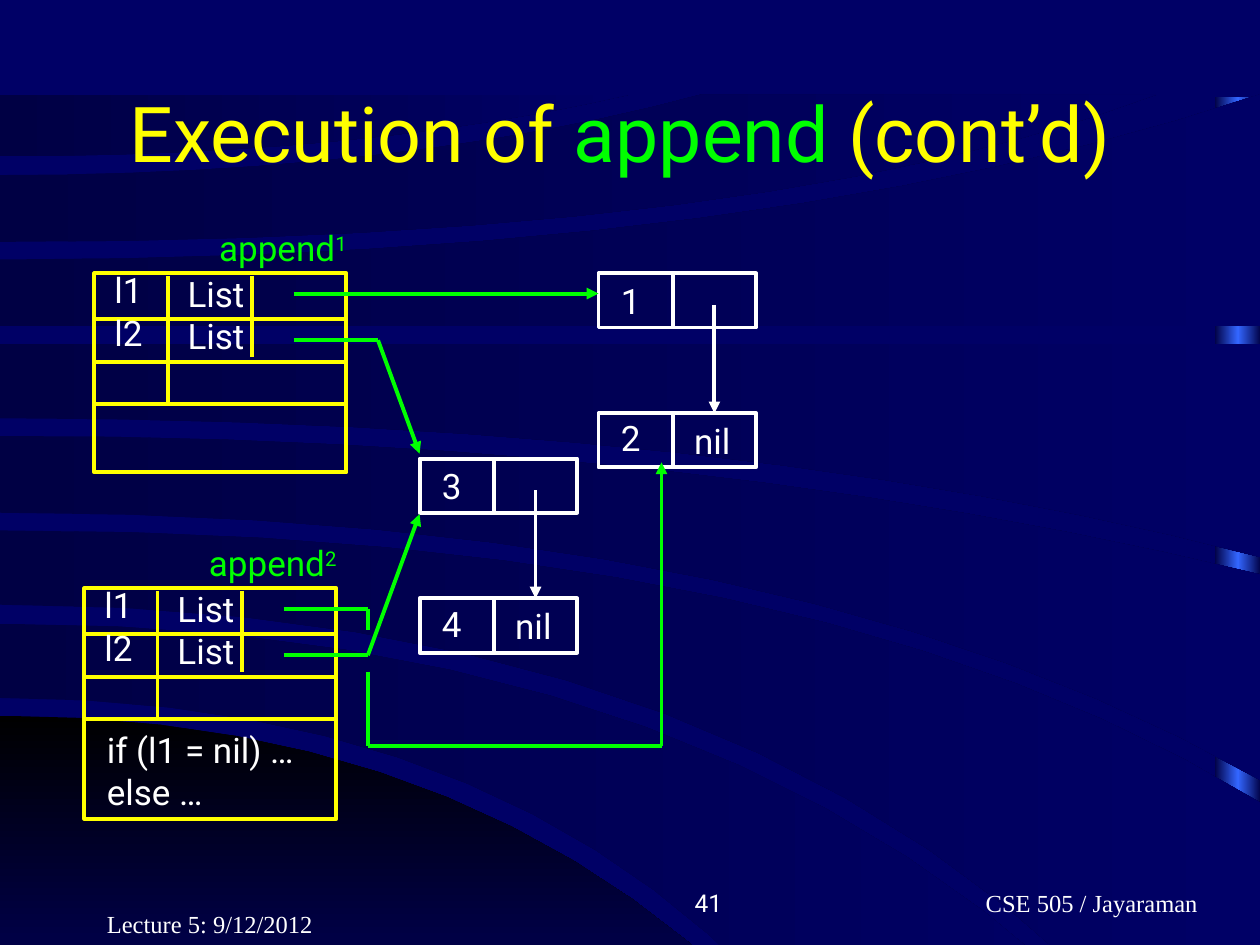
from copy import deepcopy
from dataclasses import dataclass

from lxml.etree import SubElement
from pptx import Presentation
from pptx.dml.color import RGBColor
from pptx.enum.shapes import MSO_CONNECTOR, MSO_SHAPE
from pptx.enum.text import MSO_ANCHOR, MSO_AUTO_SIZE, PP_ALIGN
from pptx.oxml.ns import qn
from pptx.util import Inches, Pt

YELLOW, GREEN, WHITE = "FFFF00", "00FF00", "FFFFFF"
NAVY, DARK, BLACK, BLUE = "000066", "000044", "000000", "3366FF"
SERIF, SANS = "Times New Roman", "Roboto"
CURVE_STEPS = 12
ROW = 0.34
CELL_STEP = 1.11
Point = tuple[float, float]


@dataclass
class Frame:
    left: float
    top: float
    height: float
    number: str


@dataclass
class Chain:
    left: float
    top: float
    values: str


@dataclass
class Route:
    points: list[Point]
    arrow: bool = True


@dataclass
class Edge:
    level: float
    bend: float
    right: float
    end: float

    def points(self) -> list[Point]:
        steps = [index / CURVE_STEPS for index in range(CURVE_STEPS + 1)]
        return [(2 * t * (1 - t) * self.bend + t * t * self.right,
                 self.level + t * t * (self.end - self.level)) for t in steps]


@dataclass
class Band:
    upper: Edge
    lower: Edge
    start: str = DARK
    angle: int = 0


FRAMES = [Frame(0.75, 2.17, 1.58, "1"), Frame(0.67, 4.67, 1.83, "2")]
CHAINS = [Chain(3.33, 3.64, "34"), Chain(4.75, 2.17, "12")]
ROUTES = [
    Route([(2.33, 2.33), (4.75, 2.33)]),
    Route([(2.33, 2.7), (3, 2.7), (3.33, 3.6)]),
    Route([(2.25, 5.2), (2.92, 5.2), (3.33, 4.08)]),
    Route([(2.25, 4.83), (2.92, 4.83), (2.92, 5)], False),
    Route([(2.92, 5.33), (2.92, 5.92), (5.25, 5.92), (5.25, 3.67)]),
]
BANDS = [
    Band(Edge(5.68, 3.95, 6.29, 8.27), Edge(8.27, 3, 6.29, 8.27), BLACK, 270),
    Band(Edge(4.95, 5.8, 8.94, 8.25), Edge(5.54, 4.2, 6.43, 8.25)),
    Band(Edge(4.21, 6.5, 10, 6.37), Edge(4.8, 6, 9.1, 8.25)),
    Band(Edge(3.46, 5.5, 10, 4.56), Edge(4.07, 6.3, 10, 6.19)),
    Band(Edge(2.73, 5, 10, 2.73), Edge(3.32, 5.8, 10, 4.42)),
    Band(Edge(2.06, 6.1, 10, 0.75), Edge(2.59, 5, 10, 2.59)),
    Band(Edge(1.39, 3.2, 5.57, 0.75), Edge(1.92, 6.1, 9.18, 0.75)),
    Band(Edge(0.75, 2.5, 5, 0.75), Edge(1.24, 2.9, 5, 0.75)),
]


def color(value: str) -> RGBColor:
    return RGBColor.from_string(value)


def apply(target, values: dict) -> None:
    for name, value in values.items():
        setattr(target, name, value)


def paint_gradient(shape, colors: list[str], angle: int = 0) -> None:
    shape.shadow.inherit = False
    shape.line.fill.background()
    shape.fill.gradient()
    shape.fill.gradient_angle = angle
    stops = shape._element.spPr.find(qn("a:gradFill")).find(qn("a:gsLst"))
    for _ in colors[2:]:
        stops.append(deepcopy(stops[-1]))
    for index, (stop, value) in enumerate(zip(shape.fill.gradient_stops, colors)):
        stop.color.rgb = color(value)
        stop.position = index / (len(colors) - 1)


def draw_band(page, band: Band) -> None:
    upper, lower = band.upper, band.lower
    corner = (max(upper.right, lower.right), max(upper.end, lower.end))
    outline = upper.points() + [corner] + lower.points()[::-1]
    points = [(Inches(x), Inches(y)) for x, y in outline]
    builder = page.shapes.build_freeform(*points[0], scale=1.0)
    builder.add_line_segments(points[1:], close=True)
    paint_gradient(builder.convert_to_shape(), [band.start, NAVY], band.angle)


def draw_line(page, start: Point, end: Point, shade: str, arrow: bool = False) -> None:
    line = page.shapes.add_connector(MSO_CONNECTOR.STRAIGHT, *map(Inches, start + end))
    line.line.color.rgb = color(shade)
    line.line.width = Pt(2.24)
    if arrow:
        SubElement(line.line._get_or_add_ln(), qn("a:tailEnd"), type="triangle")
    SubElement(line._element.spPr, qn("a:effectLst"))


def draw_outline(page, at: Point, size: Point, shade: str) -> None:
    box = page.shapes.add_shape(MSO_SHAPE.RECTANGLE, *map(Inches, at + size))
    box.shadow.inherit = False
    box.fill.background()
    box.line.color.rgb = color(shade)
    box.line.width = Pt(2.24)


def add_span(para, text: str, shade: str, size: float, font: str = SANS):
    span = para.add_run()
    span.text = text
    apply(span.font, {"name": font, "size": Pt(size)})
    span.font.color.rgb = color(shade)
    return span


def add_text(page, at: Point, size: Point, text: str, shade: str = WHITE, points: float = 20,
             font: str = SANS, frame: dict | None = None, format: dict | None = None):
    box = page.shapes.add_textbox(*map(Inches, at + size))
    defaults = {"word_wrap": False, "auto_size": MSO_AUTO_SIZE.SHAPE_TO_FIT_TEXT}
    apply(box.text_frame, frame or defaults)
    para = box.text_frame.paragraphs[0]
    apply(para, format or {})
    add_span(para, text, shade, points, font)
    return para


def draw_frame(page, frame: Frame) -> None:
    left, top = frame.left, frame.top
    draw_outline(page, (left, top), (2, frame.height), YELLOW)
    for row in range(3):
        y = top + 0.36 + row * ROW
        draw_line(page, (left, y), (left + 2, y), YELLOW)
    for column, bottom in ((0.58, 1.04), (1.25, 0.66)):
        draw_line(page, (left + column, top + 0.02), (left + column, top + bottom), YELLOW)
    for row, name in enumerate(("l1", "l2")):
        add_text(page, (left + 0.06, top - 0.09 + row * ROW), (0.43, 0.44), name)
        add_text(page, (left + 0.64, top - 0.06 + row * ROW), (0.65, 0.44), "List")
    para = add_text(page, (left + 0.89, top - 0.42), (1.29, 0.44), "append", GREEN)
    add_span(para, frame.number, GREEN, 20)._r.get_or_add_rPr().set("baseline", "30000")


def draw_chain(page, chain: Chain) -> None:
    left = chain.left
    for index, value in enumerate(chain.values):
        top = chain.top + index * CELL_STEP
        draw_outline(page, (left, top), (1.25, 0.43), WHITE)
        draw_line(page, (left + 0.59, top), (left + 0.59, top + 0.42), WHITE)
        add_text(page, (left + 0.08, top - 0.02 * index), (0.36, 0.44), value)
    add_text(page, (left + 0.66, top), (0.51, 0.44), "nil")
    draw_line(page, (left + 0.92, chain.top + 0.25), (left + 0.92, top), WHITE, True)


deck = Presentation()
apply(deck, {"slide_width": Inches(10), "slide_height": Inches(7.5)})
page = deck.slides.add_slide(deck.slide_layouts[5])
page.background.fill.solid()
page.background.fill.fore_color.rgb = color(NAVY)

stripe = page.shapes.add_shape(MSO_SHAPE.RECTANGLE, *map(Inches, (9.64, 0.77, 0.37, 7.5)))
paint_gradient(stripe, [DARK, BLUE, DARK])
for band in BANDS:
    draw_band(page, band)

title = page.shapes.title
apply(title, {"left": Inches(0.67), "top": Inches(0.42),
              "width": Inches(8.5), "height": Inches(1.25)})
apply(title.text_frame, {"vertical_anchor": MSO_ANCHOR.MIDDLE, "word_wrap": True,
                         "auto_size": MSO_AUTO_SIZE.NONE})
heading = title.text_frame.paragraphs[0]
heading.alignment = PP_ALIGN.CENTER
for text, shade in (("Execution of ", YELLOW), ("append ", GREEN), ("(cont’d)", YELLOW)):
    add_span(heading, text, shade, 44)
page.shapes._spTree.append(title._element)

for frame in FRAMES:
    draw_frame(page, frame)
for chain in CHAINS:
    draw_chain(page, chain)
for route in ROUTES:
    for start, end in zip(route.points, route.points[1:]):
        draw_line(page, start, end, GREEN, route.arrow and end == route.points[-1])
add_text(page, (0.75, 5.73), (2.17, 0.77), "if (l1 = nil) … else …",
         frame={"word_wrap": True, "auto_size": MSO_AUTO_SIZE.SHAPE_TO_FIT_TEXT},
         format={"space_before": Pt(12.5)})
for text, at, width, font, alignment, inset in (
    ("CSE 505 / Jayaraman", (6.58, 6.83), 3.17, SERIF, PP_ALIGN.CENTER, 1.1),
    ("41", (3.75, 6.83), 2.08, SANS, PP_ALIGN.RIGHT, 0.1),
    ("Lecture 5: 9/12/2012", (0.75, 7), 2.08, SERIF, PP_ALIGN.LEFT, 0.1),
):
    add_text(page, at, (width, 0.5), text, points=14, font=font,
             frame={"word_wrap": True, "vertical_anchor": MSO_ANCHOR.BOTTOM,
                    "margin_left": Inches(inset)}, format={"alignment": alignment})
deck.save("out.pptx")
